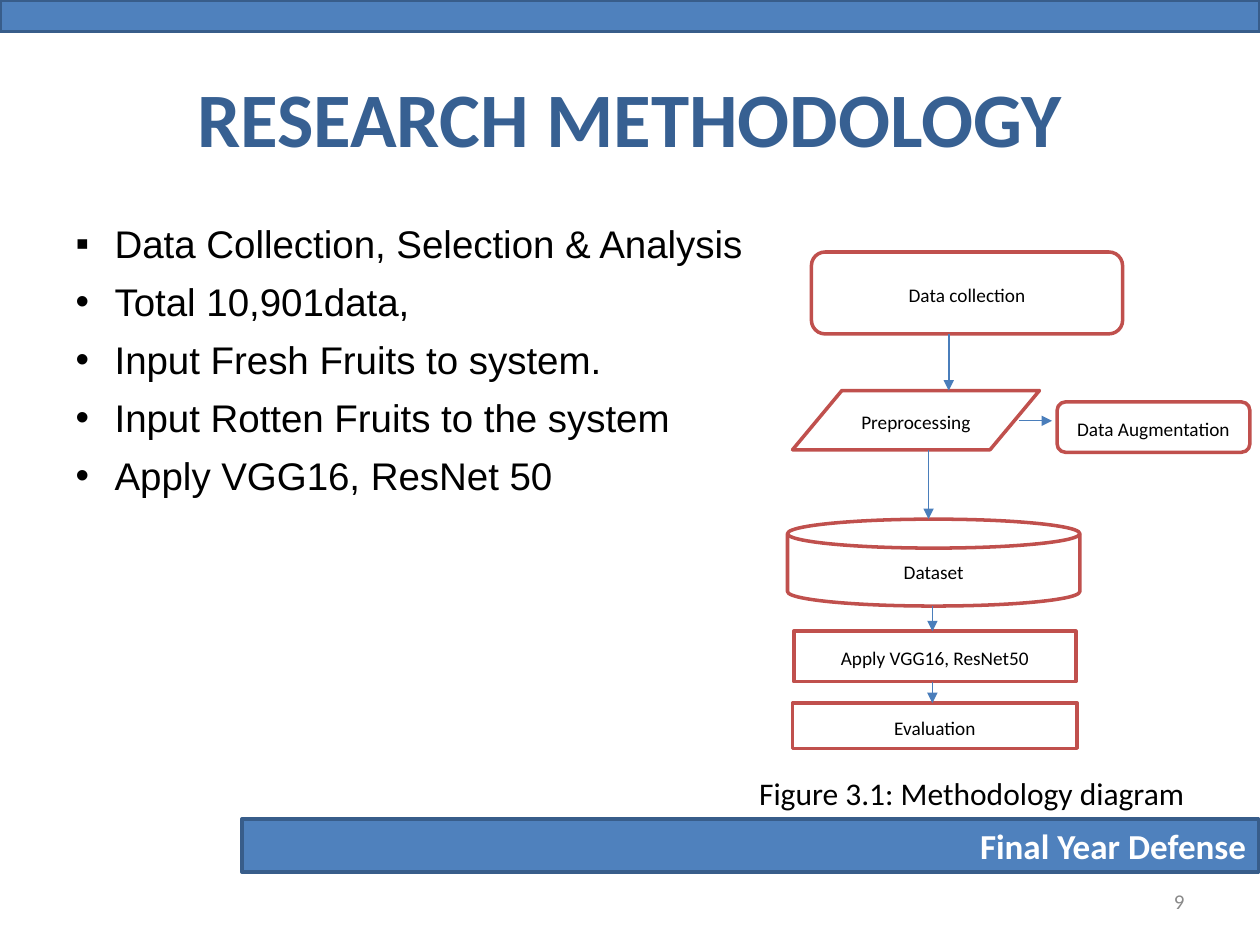
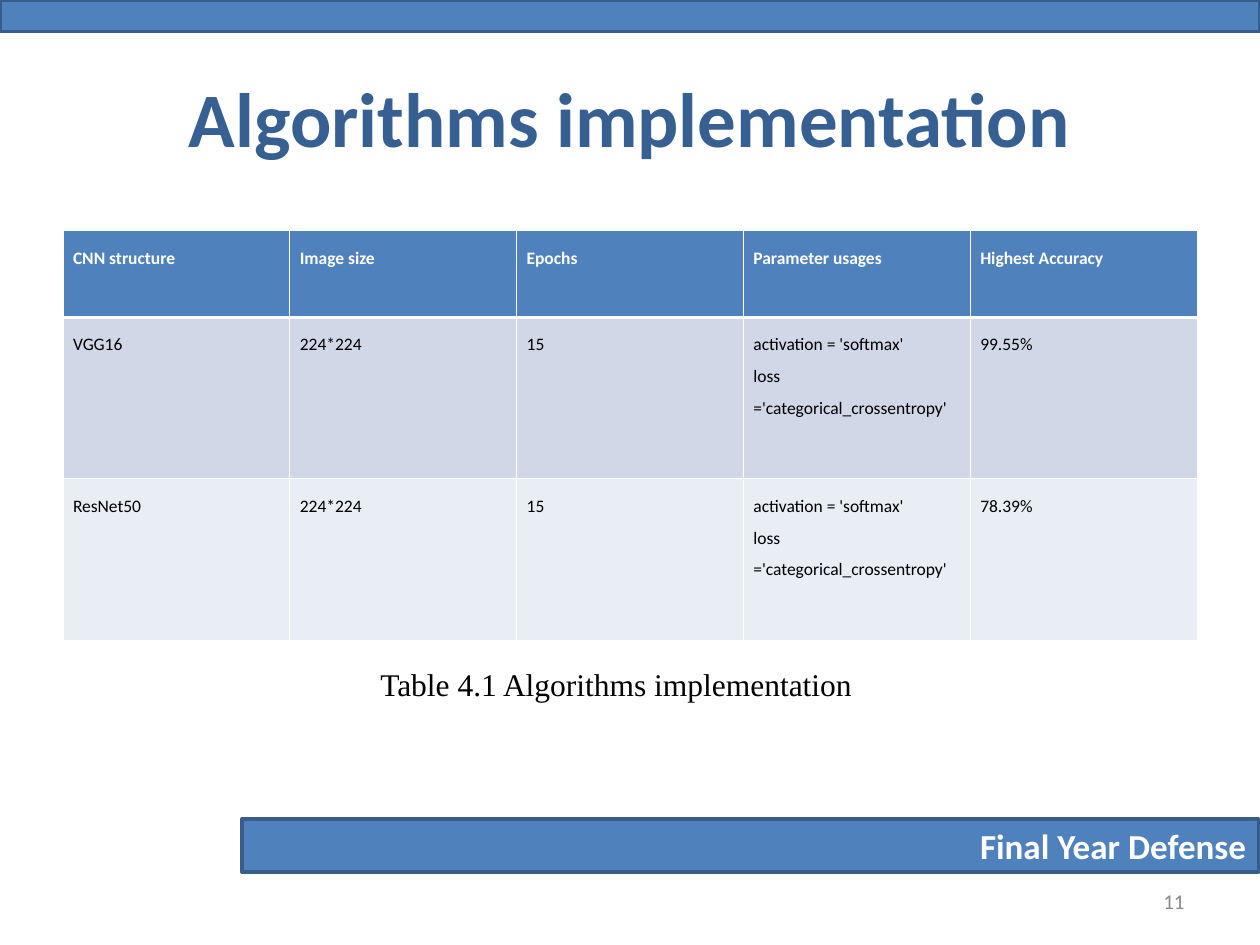
from dataclasses import dataclass

from lxml.etree import SubElement
from pptx import Presentation
from pptx.dml.color import RGBColor
from pptx.enum.shapes import MSO_CONNECTOR, MSO_SHAPE as Shape
from pptx.enum.text import MSO_ANCHOR as Anchor, MSO_AUTO_SIZE as AutoSize, PP_ALIGN as Align
from pptx.oxml.ns import qn
from pptx.util import Emu, Inches, Pt

# Grid: 100 columns by 75 rows on a 10 x 7.5 inch slide
COLUMNS, ROWS = 100, 75
CELL = Inches(0.1)


@dataclass(frozen=True)
class Theme:
    band: str = "4F81BD"
    band_edge: str = "385D8A"
    title: str = "376092"
    step_edge: str = "C0504D"
    arrow: str = "4A7EBB"
    page: str = "898989"
    odd_row: str = "D0D8E8"
    even_row: str = "E9EDF4"
    white: str = "FFFFFF"
    black: str = "000000"
    heading_font: str = "Calibri"
    list_font: str = "Arial"
    serif_font: str = "Times New Roman"
    title_size: float = 44
    list_size: float = 22
    footer_size: float = 20
    caption_size: float = 18
    page_size: float = 12
    step_size: float = 11
    table_size: float = 10


THEME = Theme()


@dataclass(frozen=True)
class Box:
    """A region in grid columns and rows."""
    left: float
    top: float
    width: float
    height: float

    def inner(self, part):
        return Box(self.left + part.left, self.top + part.top, part.width, part.height)

    @property
    def right(self):
        return self.left + self.width

    @property
    def bottom(self):
        return self.top + self.height

    @property
    def place(self):
        return [grid(n) for n in (self.left, self.top, self.width, self.height)]


TITLE = Box(5, 3, 90, 12.5)
LIST = Box(5, 17, 57, 43)
DIAGRAM = Box(62.5, 20, 36.7, 39.4)
FIGURE_CAPTION = Box(55, 60.9, 40, 4)
TABLE = Box(5, 18.3, 90, 32.5)
TABLE_CAPTION = Box(29.2, 50.8, 40.4, 5.5)
TOP_BAND = Box(0, 0, COLUMNS, 2.5)
FOOTER = Box(19.2, 65, 80.7, 4.2)
PAGE = Box(71.7, 69.5, 23.3, 4)

POINTS = [
    "Data Collection, Selection & Analysis",
    "Total 10,901data,",
    "Input Fresh Fruits to system.",
    "Input Rotten Fruits to the system",
    "Apply VGG16, ResNet 50",
]

# Step, outline, region within the diagram, column of the arrow to the next step
STEPS = [
    ("Data collection", Shape.ROUNDED_RECTANGLE, Box(1.9, 0, 24.7, 6.5), 12.8),
    ("Preprocessing", Shape.FLOWCHART_DATA, Box(0.4, 11, 19.6, 4.7), 11.2),
    ("Dataset", Shape.FLOWCHART_MAGNETIC_DISK, Box(0, 21.2, 23.2, 6.9), 11.5),
    ("Apply VGG16, ResNet50", Shape.RECTANGLE, Box(0.5, 30.1, 22.4, 4), 11.5),
    ("Evaluation", Shape.RECTANGLE, Box(0.4, 35.8, 22.6, 3.6), None),
]
AUGMENTATION = Box(21.4, 11.9, 15.3, 4)

PARAMETERS = "activation = 'softmax'\nloss ='categorical_crossentropy'"
RESULTS = [
    ["CNN structure", "Image size", "Epochs", "Parameter usages", "Highest Accuracy"],
    ["VGG16", "224*224", "15", PARAMETERS, "99.55%"],
    ["ResNet50", "224*224", "15", PARAMETERS, "78.39%"],
]
ROW_HEIGHTS = [6.9, 12.8, 12.8]


def grid(count):
    return Emu(round(count * CELL))


def rgb(color):
    return RGBColor.from_string(color)


def write(frame, text, size, color=THEME.black, font=THEME.heading_font,
          bold=False, align=Align.LEFT, spacing=None):
    frame.text = text
    for paragraph in frame.paragraphs:
        paragraph.alignment = align
        paragraph.line_spacing = spacing
        for run in paragraph.runs:
            run.font.size, run.font.name, run.font.bold = Pt(size), font, bold
            run.font.color.rgb = rgb(color)


def fit(placeholder, box):
    placeholder.left, placeholder.top, placeholder.width, placeholder.height = box.place
    placeholder.text_frame.auto_size = AutoSize.NONE


def add_panel(slide, outline, box, fill, edge):
    panel = slide.shapes.add_shape(outline, *box.place)
    panel.shadow.inherit = False
    panel.fill.solid()
    panel.fill.fore_color.rgb = rgb(fill)
    panel.line.color.rgb = rgb(edge)
    panel.line.width = Pt(2)
    panel.text_frame.vertical_anchor = Anchor.MIDDLE
    return panel


def add_label(slide, box, text, size, wrap=True, anchor=Anchor.MIDDLE, **style):
    frame = slide.shapes.add_textbox(*box.place).text_frame
    frame.word_wrap = wrap
    frame.vertical_anchor = anchor
    write(frame, text, size, **style)


def add_arrow(slide, start, end, width=1):
    arrow = slide.shapes.add_connector(MSO_CONNECTOR.STRAIGHT, *map(grid, start + end))
    arrow.line.color.rgb = rgb(THEME.arrow)
    arrow.line.width = Pt(width)
    properties = arrow.element.spPr
    SubElement(properties.find(qn("a:ln")), qn("a:tailEnd"), type="triangle")
    SubElement(properties, qn("a:effectLst"))


# Bands shared by every slide, moved to the master
def add_bands(prs, slide):
    top = add_panel(slide, Shape.RECTANGLE, TOP_BAND, THEME.band, THEME.band_edge)
    footer = add_panel(slide, Shape.RECTANGLE, FOOTER, THEME.band, THEME.band_edge)
    write(footer.text_frame, "Final Year Defense", THEME.footer_size, THEME.white,
          bold=True, align=Align.RIGHT)
    for band in (top, footer):
        prs.slide_master.element.cSld.spTree.insert(2, band.element)


# Title and page number
def start_slide(prs, layout, title, page):
    slide = prs.slides.add_slide(prs.slide_layouts.get_by_name(layout))
    heading = slide.shapes.title
    fit(heading, TITLE)
    heading.text_frame.vertical_anchor = Anchor.MIDDLE
    write(heading.text_frame, title, THEME.title_size, THEME.title,
          bold=True, align=Align.CENTER)
    add_label(slide, PAGE, page, THEME.page_size, color=THEME.page, align=Align.RIGHT)
    return slide


# Bulleted list
def fill_list(body, box):
    fit(body, box)
    write(body.text_frame, "\n".join(POINTS), THEME.list_size, font=THEME.list_font)
    for number, paragraph in enumerate(body.text_frame.paragraphs):
        properties = paragraph._p.get_or_add_pPr()
        properties.set("marL", str(Inches(0.31)))
        properties.set("indent", str(-Inches(0.31)))
        SubElement(properties, qn("a:buFont"), typeface=THEME.list_font)
        SubElement(properties, qn("a:buChar"), char="•" if number else "▪")
        paragraph.space_before = Pt(6.7 if number else 0)


# Flow of the method, with a side step
def add_diagram(slide, box):
    def add_step(text, outline, part):
        step = add_panel(slide, outline, box.inner(part), THEME.white, THEME.step_edge)
        write(step.text_frame, text, THEME.step_size, align=Align.CENTER, spacing=1.15)

    for text, outline, part, _ in STEPS:
        add_step(text, outline, part)
    add_step("Data Augmentation", Shape.ROUNDED_RECTANGLE, AUGMENTATION)

    for (_, _, upper, column), (_, _, lower, _) in zip(STEPS, STEPS[1:]):
        x = box.left + column
        add_arrow(slide, (x, box.top + upper.bottom), (x, box.top + lower.top))
    preprocessing = box.inner(STEPS[1][2])
    y = preprocessing.top + 2.4
    add_arrow(slide, (preprocessing.right - 1.6, y),
              (box.left + AUGMENTATION.left - 0.4, y), 0.75)


def set_borders(cell, top, bottom):
    properties = cell._tc.get_or_add_tcPr()
    widths = {"lnL": 0.45, "lnR": 0.45, "lnT": top, "lnB": bottom}
    for place, (side, width) in enumerate(widths.items()):
        line = SubElement(properties, qn(f"a:{side}"), w=str(Pt(width)))
        fill = SubElement(line, qn("a:solidFill"))
        SubElement(fill, qn("a:srgbClr"), val=THEME.white)
        properties.insert(place, line)


# Results table
def add_results(slide, box):
    table = slide.shapes.add_table(len(RESULTS), len(RESULTS[0]), *box.place).table
    fills = [THEME.band, THEME.odd_row, THEME.even_row]
    for number, (values, height, fill) in enumerate(zip(RESULTS, ROW_HEIGHTS, fills)):
        table.rows[number].height = grid(height)
        header = number == 0
        for cell, value in zip(table.rows[number].cells, values):
            cell.fill.solid()
            cell.fill.fore_color.rgb = rgb(fill)
            cell.margin_left = cell.margin_right = Inches(0.08)
            set_borders(cell, 1.47 if number == 1 else 0.45, 1.47 if header else 0.45)
            write(cell.text_frame, value, THEME.table_size,
                  THEME.white if header else THEME.black, bold=header,
                  align=Align.LEFT if header else Align.JUSTIFY, spacing=1.5)


def build_methodology(prs):
    slide = start_slide(prs, "Title and Content", "RESEARCH METHODOLOGY", "9")
    add_bands(prs, slide)
    fill_list(slide.placeholders[1], LIST)
    add_diagram(slide, DIAGRAM)
    add_label(slide, FIGURE_CAPTION, "Figure 3.1: Methodology diagram",
              THEME.caption_size, align=Align.RIGHT)


def build_implementation(prs):
    slide = start_slide(prs, "Title Only", "Algorithms implementation", "11")
    add_results(slide, TABLE)
    add_label(slide, TABLE_CAPTION, "Table 4.1 Algorithms implementation",
              THEME.caption_size, wrap=False, anchor=Anchor.TOP,
              font=THEME.serif_font, spacing=1.5)


def main():
    prs = Presentation()
    prs.slide_width, prs.slide_height = grid(COLUMNS), grid(ROWS)
    build_methodology(prs)
    build_implementation(prs)
    prs.save("out.pptx")


if __name__ == "__main__":
    main()
